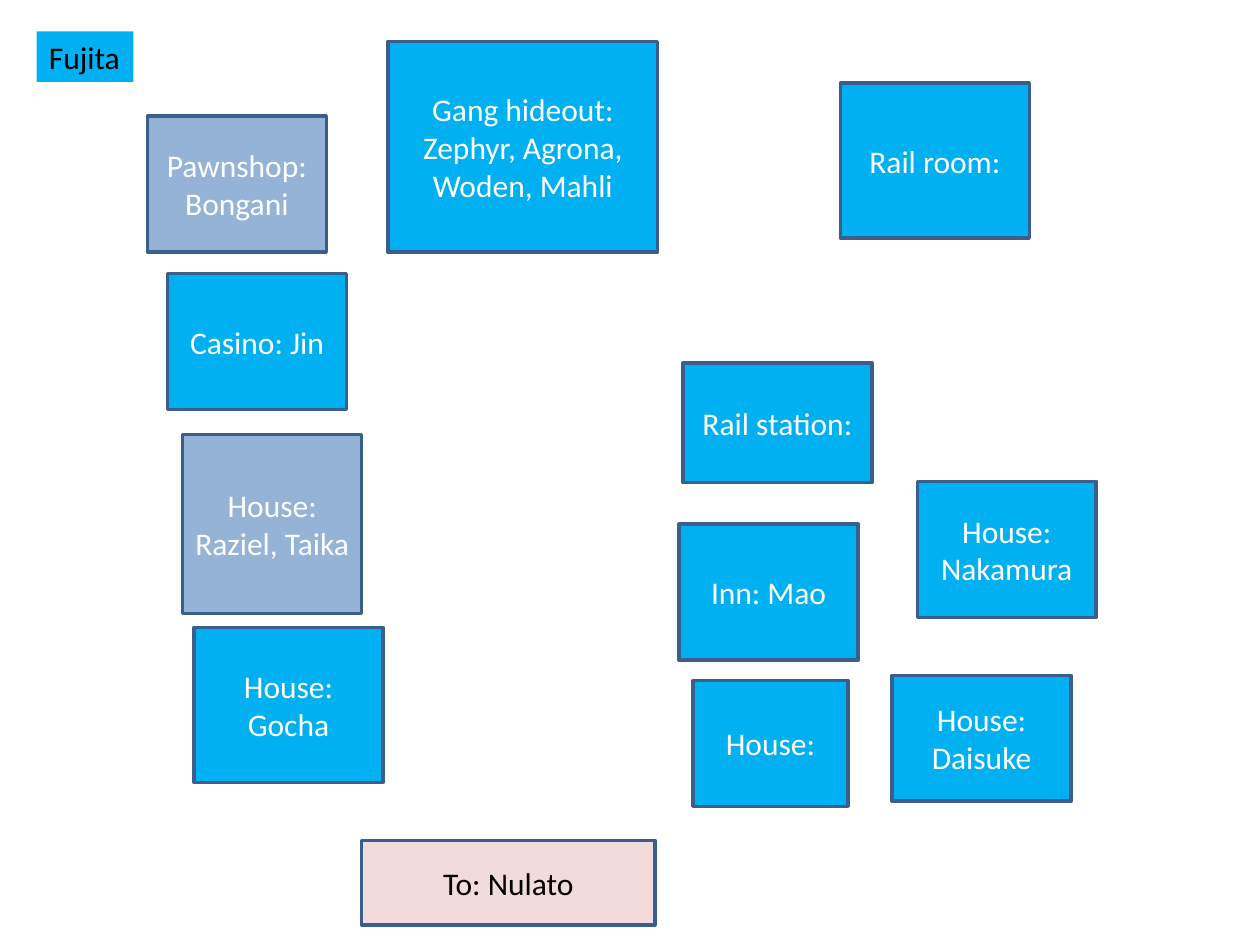
from pptx import Presentation, util as u
from pptx.dml.color import RGBColor
from pptx.enum import shapes as sh, text as tx

SKY = RGBColor(0x00, 0xB0, 0xF0)
HAZE = RGBColor(0x95, 0xB3, 0xD7)
ROSE = RGBColor(0xF2, 0xDC, 0xDB)
EDGE = RGBColor(0x3A, 0x5F, 0x8C)
WHITE = RGBColor(0xFF, 0xFF, 0xFF)
BLACK = RGBColor(0x00, 0x00, 0x00)

WIDE, HIGH = 10, 7.5
LOT = (1.42, 1.08)   # usual building
HALL = (1.5, 1.23)   # larger building


def write(frame, words, color=WHITE, size=18, font="Calibri",
          align=tx.PP_ALIGN.CENTER, anchor=tx.MSO_ANCHOR.MIDDLE, wrap=True):
    frame.word_wrap = wrap
    frame.vertical_anchor = anchor
    para = frame.paragraphs[0]
    para.alignment = align
    run = para.add_run()
    run.text = words
    run.font.name = font
    run.font.size = u.Pt(size)
    run.font.color.rgb = color


def title(slide, box, words):
    label = slide.shapes.add_textbox(*map(u.Inches, box))
    label.fill.solid()
    label.fill.fore_color.rgb = SKY
    write(label.text_frame, words, color=BLACK, align=tx.PP_ALIGN.LEFT,
          anchor=tx.MSO_ANCHOR.TOP, wrap=False)
    label.text_frame.auto_size = tx.MSO_AUTO_SIZE.SHAPE_TO_FIT_TEXT


def place(slide, box, words, fill=SKY, color=WHITE):
    block = slide.shapes.add_shape(sh.MSO_SHAPE.RECTANGLE, *map(u.Inches, box))
    block.shadow.inherit = False
    block.fill.solid()
    block.fill.fore_color.rgb = fill
    block.line.color.rgb = EDGE
    block.line.width = u.Pt(2)
    write(block.text_frame, words, color=color)


def town(slide, box, sites):
    left, top, wide, high = box
    for words, x, y, size, fill in sites:
        spot = (left + x * wide / WIDE, top + y * high / HIGH,
                size[0] * wide / WIDE, size[1] * high / HIGH)
        place(slide, spot, words, fill, BLACK if fill == ROSE else WHITE)


# Buildings: label, left, top, size, fill
SITES = [
    # West street
    ("Pawnshop: Bongani", 1.17, 0.92, LOT, HAZE),
    ("Casino: Jin", 1.33, 2.17, LOT, SKY),
    ("House: Raziel, Taika", 1.45, 3.45, (1.42, 1.42), HAZE),
    ("House: Gocha", 1.54, 4.98, HALL, SKY),
    # North side
    ("Gang hideout: Zephyr, Agrona, Woden, Mahli", 3.08, 0.33, (2.14, 1.67), SKY),
    ("Rail room:", 6.67, 0.66, HALL, SKY),
    # East side
    ("Rail station:", 5.42, 2.88, (1.5, 0.95), SKY),
    ("Inn: Mao", 5.39, 4.16, LOT, SKY),
    ("House:", 5.5, 5.4, (1.23, 1), SKY),
    ("House: Nakamura", 7.28, 3.82, LOT, SKY),
    ("House: Daisuke", 7.08, 5.36, (1.42, 1), SKY),
    # Way out
    ("To: Nulato", 2.87, 6.67, (2.33, 0.67), ROSE),
]

deck = Presentation()
deck.slide_width, deck.slide_height = u.Inches(WIDE), u.Inches(HIGH)
page = deck.slides.add_slide(deck.slide_layouts[6])
title(page, (0.29, 0.25, 0.77, 0.4), "Fujita")
town(page, (0, 0, WIDE, HIGH), SITES)
deck.save("out.pptx")
